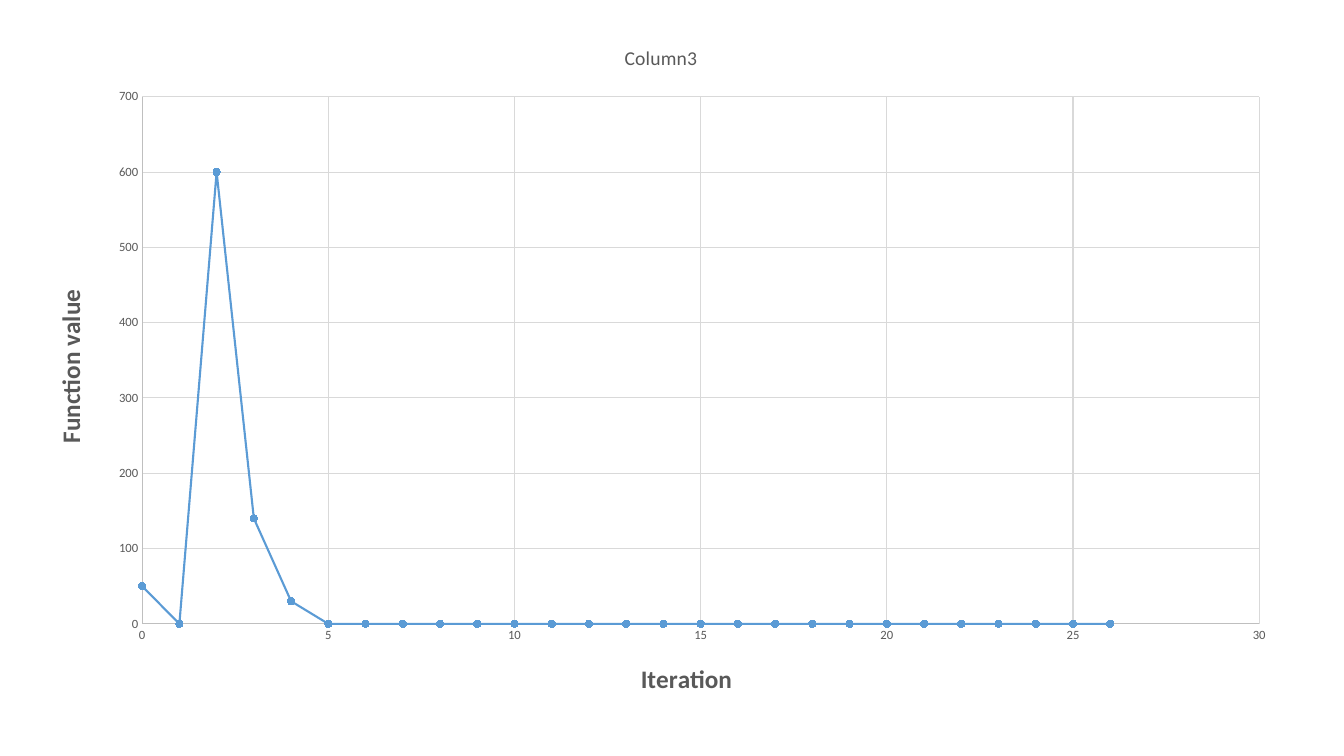
import pptx
import pptx.chart.data
import pptx.dml.color
import pptx.enum.chart
import pptx.oxml
import pptx.oxml.ns
import pptx.util

Inches = pptx.util.Inches
Pt = pptx.util.Pt
RGBColor = pptx.dml.color.RGBColor
qn = pptx.oxml.ns.qn

BLACK = RGBColor(0x00, 0x00, 0x00)
GREY = RGBColor(0x59, 0x59, 0x59)
AXIS_GREY = RGBColor(0xBF, 0xBF, 0xBF)
GRID_GREY = RGBColor(0xD9, 0xD9, 0xD9)
BLUE = RGBColor(0x5B, 0x9B, 0xD5)
CHART_WIDTH = Inches(12.5)
CHART_HEIGHT = Inches(6.93)


class ChartSlide:
    """Holds the font and the slide, and adds styled chart parts."""

    def __init__(self, slide, font_name="Calibri"):
        self.slide = slide
        self.font_name = font_name

    def style_font(self, font, size, color, bold=False):
        font.name = self.font_name
        font.size = Pt(size)
        font.bold = bold
        font.color.rgb = color

    def style_line(self, line, color, width=0.75):
        line.color.rgb = color
        line.width = Pt(width)

    def place(self, part, **lengths):
        for old_layout in part.findall(qn("c:layout")):
            part.remove(old_layout)
        target = '<c:layoutTarget val="inner"/>' if "w" in lengths else ""
        modes = "".join(f'<c:{key}Mode val="edge"/>' for key in "xy")
        whole = {"x": CHART_WIDTH, "w": CHART_WIDTH, "y": CHART_HEIGHT, "h": CHART_HEIGHT}
        sizes = "".join(
            f'<c:{key} val="{Inches(length) / whole[key]:.4f}"/>'
            for key, length in lengths.items()
        )
        layout = pptx.oxml.parse_xml(
            f"<c:layout {pptx.oxml.ns.nsdecls('c')}><c:manualLayout>"
            f"{target}{modes}{sizes}</c:manualLayout></c:layout>"
        )
        part.insert(0 if part.find(qn("c:tx")) is None else 1, layout)

    def title(self, owner, text, size, x, y, bold=False, rotation=0):
        owner.has_title = True
        title = owner.chart_title if hasattr(owner, "chart_title") else owner.axis_title
        frame = title.text_frame
        frame.text = text
        self.style_font(frame.paragraphs[0].font, size, GREY, bold)
        body = title._element.find(".//" + qn("a:bodyPr"))
        body.set("rot", str(rotation * 60000))
        body.set("vert", "horz")
        self.place(title._element, x=x, y=y)

    def axis(self, axis, maximum, step):
        axis.minimum_scale = 0
        axis.maximum_scale = maximum
        axis.major_unit = step
        axis.has_major_gridlines = True
        axis.major_tick_mark = pptx.enum.chart.XL_TICK_MARK.NONE
        axis.minor_tick_mark = pptx.enum.chart.XL_TICK_MARK.NONE
        axis.tick_labels.number_format = "General"
        axis.tick_labels.number_format_is_linked = False
        self.style_font(axis.tick_labels.font, 9, GREY)
        self.style_line(axis.format.line, AXIS_GREY)
        self.style_line(axis.major_gridlines.format.line, GRID_GREY)

    def scatter(self, name, values, left, top):
        data = pptx.chart.data.XyChartData()
        points = data.add_series(name)
        for iteration, value in enumerate(values):
            points.add_data_point(iteration, value)
        chart = self.slide.shapes.add_chart(
            pptx.enum.chart.XL_CHART_TYPE.XY_SCATTER_LINES,
            Inches(left), Inches(top), CHART_WIDTH, CHART_HEIGHT, data,
        ).chart
        chart.has_legend = False
        self.style_font(chart.font, 10, BLACK)
        plot = chart.plots[0]
        plot.vary_by_categories = False
        series = plot.series[0]
        series.smooth = False
        self.style_line(series.format.line, BLUE, 1.5)
        series.marker.style = pptx.enum.chart.XL_MARKER_STYLE.CIRCLE
        series.marker.size = 5
        series.marker.format.fill.solid()
        series.marker.format.fill.fore_color.rgb = BLUE
        self.style_line(series.marker.format.line, BLUE)
        return chart


presentation = pptx.Presentation()
presentation.slide_width = Inches(13.33)
presentation.slide_height = Inches(7.5)
page = ChartSlide(presentation.slides.add_slide(presentation.slide_layouts[6]))

function_values = [50, 0, 600, 140, 30] + [0] * 22
convergence = page.scatter("Column3", function_values, 0.3, 0.2)
page.axis(convergence.category_axis, 30, 5)
page.axis(convergence.value_axis, 700, 100)
page.title(convergence, "Column3", 14, 5.86, 0.2)
page.title(convergence.category_axis, "Iteration", 18, 6.01, 6.32, bold=True)
page.title(convergence.value_axis, "Function value", 18, 0.18, 2.63, bold=True, rotation=-90)
plot_area = convergence._chartSpace.find(".//" + qn("c:plotArea"))
page.place(plot_area, x=1.11, y=0.76, w=11.08, h=5.23)

presentation.save("out.pptx")
